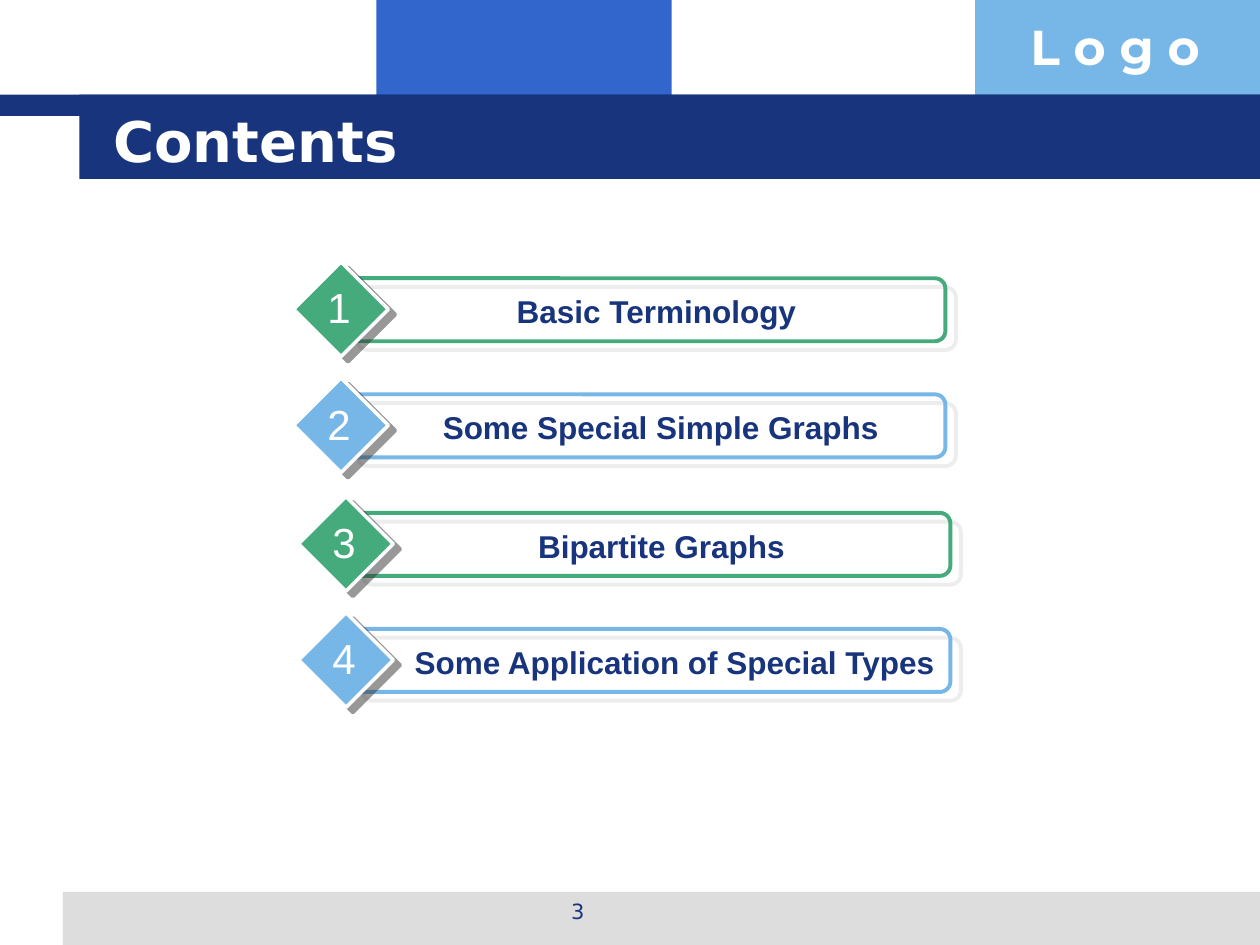
import pptx
import pptx.util
import pptx.dml.color
import pptx.enum.shapes
import pptx.enum.text
import pptx.oxml
import pptx.oxml.ns

Cm, Pt = pptx.util.Cm, pptx.util.Pt
SHAPE = pptx.enum.shapes.MSO_SHAPE
ALIGN = pptx.enum.text.PP_ALIGN
ANCHOR = pptx.enum.text.MSO_ANCHOR

# Content
TITLE = "Contents"
LOGO = "L o g o"
PAGE = "3"
# label, bar left, label offset from bar, label width
ITEMS = [
    ("Basic Terminology", 6.99, 0.63, 11.23),
    ("Some Special Simple Graphs", 6.99, 0.83, 11.0),
    ("Bipartite Graphs", 7.09, 0.63, 11.23),
    ("Some Application of Special Types", 7.09, 0.63, 11.76),
]

COLORS = {
    "navy": "17347D", "blue": "3366CC", "sky": "77B7E7", "green": "45AB7D",
    "gray": "DDDDDD", "dark": "333333", "white": "FFFFFF",
}
# Header and footer bands: left, top, width, height, colour
BANDS = [
    (7.59, 0, 5.95, 2.34, "blue"),
    (19.66, 0, 5.74, 2.34, "sky"),
    (1.27, 17.98, 24.13, 1.07, "gray"),
    (0, 1.91, 25.4, 0.43, "navy"),
    (1.6, 1.91, 23.8, 1.7, "navy"),
]
FORMATS = {
    "title": {"name": "DejaVu Sans", "size": Pt(32), "bold": True},
    "logo": {"name": "Montserrat", "size": Pt(28), "bold": True},
    "page": {"name": "DejaVu Sans", "size": Pt(12), "bold": False},
    "label": {"name": "Arial", "size": Pt(18), "bold": True},
    "number": {"name": "Arial", "size": Pt(24), "bold": False},
}
FIRST_TOP, PITCH, PAIR_GAP = 5.61, 2.34, 0.05


def rgb(color):
    return pptx.dml.color.RGBColor.from_string(COLORS[color])


def add_shape(slide, kind, box, fill=None, line=None, width=0):
    sp = slide.shapes.add_shape(kind, *map(Cm, box))
    sp.shadow.inherit = False
    if fill:
        sp.fill.solid()
        sp.fill.fore_color.rgb = rgb(fill)
    else:
        sp.fill.background()
    if line:
        sp.line.color.rgb = rgb(line)
        sp.line.width = Pt(width)
    else:
        sp.line.fill.background()
    return sp


def add_shadow(sp, color, distance, angle):
    effects = sp._element.spPr.find(pptx.oxml.ns.qn("a:effectLst"))
    effects.append(pptx.oxml.parse_xml(
        f'<a:outerShdw {pptx.oxml.ns.nsdecls("a")} blurRad="0" dist="{Pt(distance)}"'
        f' dir="{angle * 60000}" algn="ctr" rotWithShape="0">'
        f'<a:srgbClr val="{COLORS[color]}"><a:alpha val="50000"/></a:srgbClr>'
        '</a:outerShdw>'))


def write(sp, text, style, color, align=ALIGN.LEFT, anchor=ANCHOR.TOP, wrap=True):
    tf = sp.text_frame
    tf.word_wrap = wrap
    tf.vertical_anchor = anchor
    p = tf.paragraphs[0]
    p.alignment = align
    r = p.add_run()
    r.text = text
    for key, value in FORMATS[style].items():
        setattr(r.font, key, value)
    r.font.color.rgb = rgb(color)


def add_text(slide, box, *args, **kwargs):
    write(slide.shapes.add_textbox(*map(Cm, box)), *args, **kwargs)


def add_item(slide, i, label, left, offset, width):
    top = FIRST_TOP + PITCH * i + PAIR_GAP * (i // 2)
    color = ("green", "sky")[i % 2]
    bar = add_shape(slide, SHAPE.ROUNDED_RECTANGLE, (left, top, 12.07, 1.27),
                    line=color, width=2.25)
    add_shadow(bar, "gray", 7.8, 40)
    diamond = add_shape(slide, SHAPE.DIAMOND, (left - 1.07, top - 0.33, 1.91, 1.91),
                        color, "white", 2)
    add_shadow(diamond, "dark", 5, 37)
    add_text(slide, (left + offset, top + 0.15, width, 1.02), label,
             "label", "navy", ALIGN.CENTER)
    add_text(slide, (left - 0.64, top - 0.05, 0.97, 1.27), str(i + 1),
             "number", "white", ALIGN.CENTER, wrap=False)


def main():
    prs = pptx.Presentation()
    prs.slide_width, prs.slide_height = Cm(25.4), Cm(19.05)
    slide = prs.slides.add_slide(prs.slide_layouts[5])

    # Bands, logo and page number
    for *box, color in BANDS:
        add_shape(slide, SHAPE.RECTANGLE, box, color)
    add_text(slide, (20.52, 0.2, 4.9, 1.45), LOGO, "logo", "white")
    add_text(slide, (8.69, 17.98, 5.92, 0.89), PAGE, "page", "navy", ALIGN.CENTER)

    # Title, brought in front of the bands
    title = slide.shapes.title
    title.left, title.top, title.width, title.height = map(Cm, (2.03, 2.03, 21.67, 1.57))
    write(title, TITLE, "title", "white", anchor=ANCHOR.MIDDLE)
    slide.shapes._spTree.append(title._element)

    # Numbered contents
    for i, item in enumerate(ITEMS):
        add_item(slide, i, *item)

    prs.save("out.pptx")


if __name__ == "__main__":
    main()
